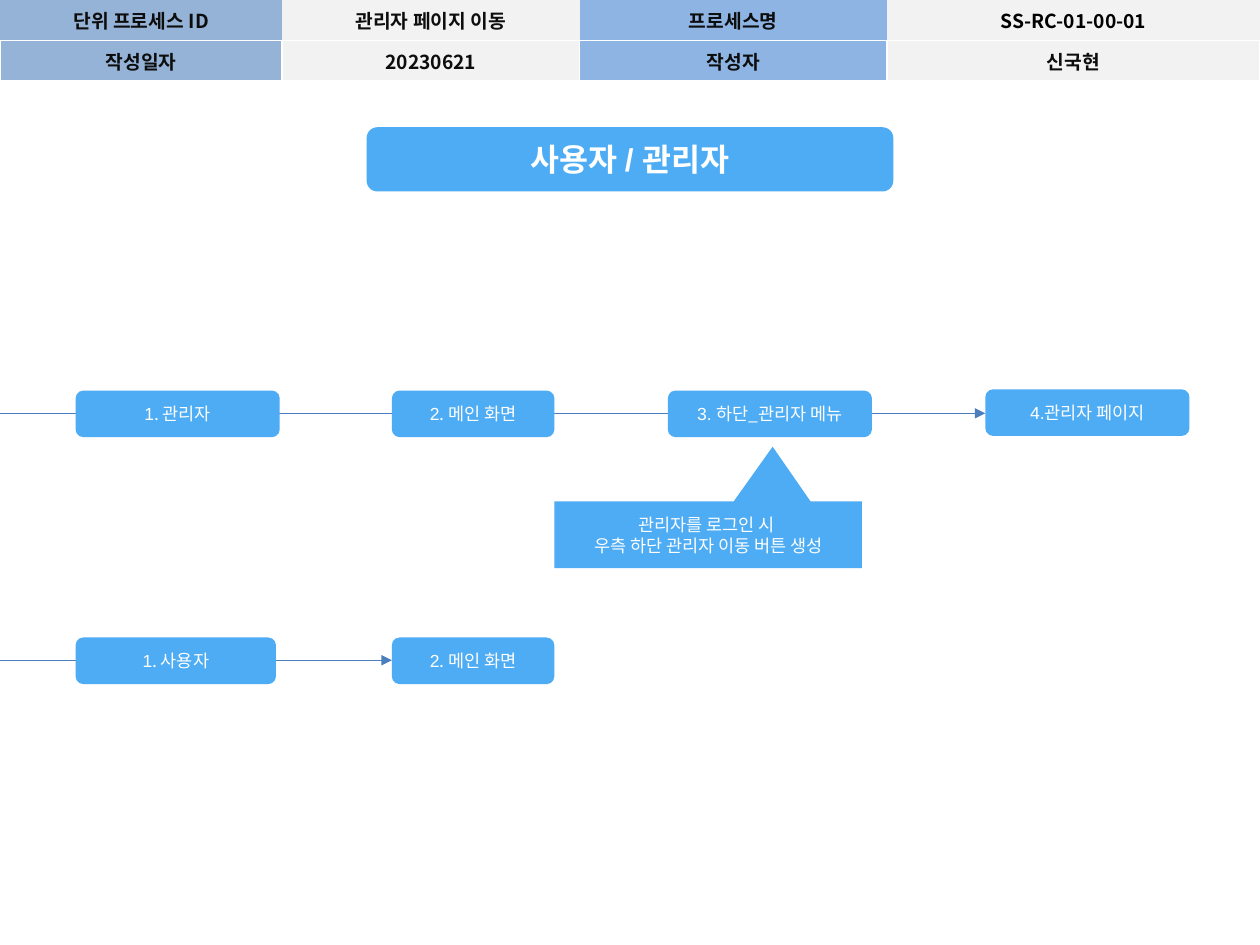
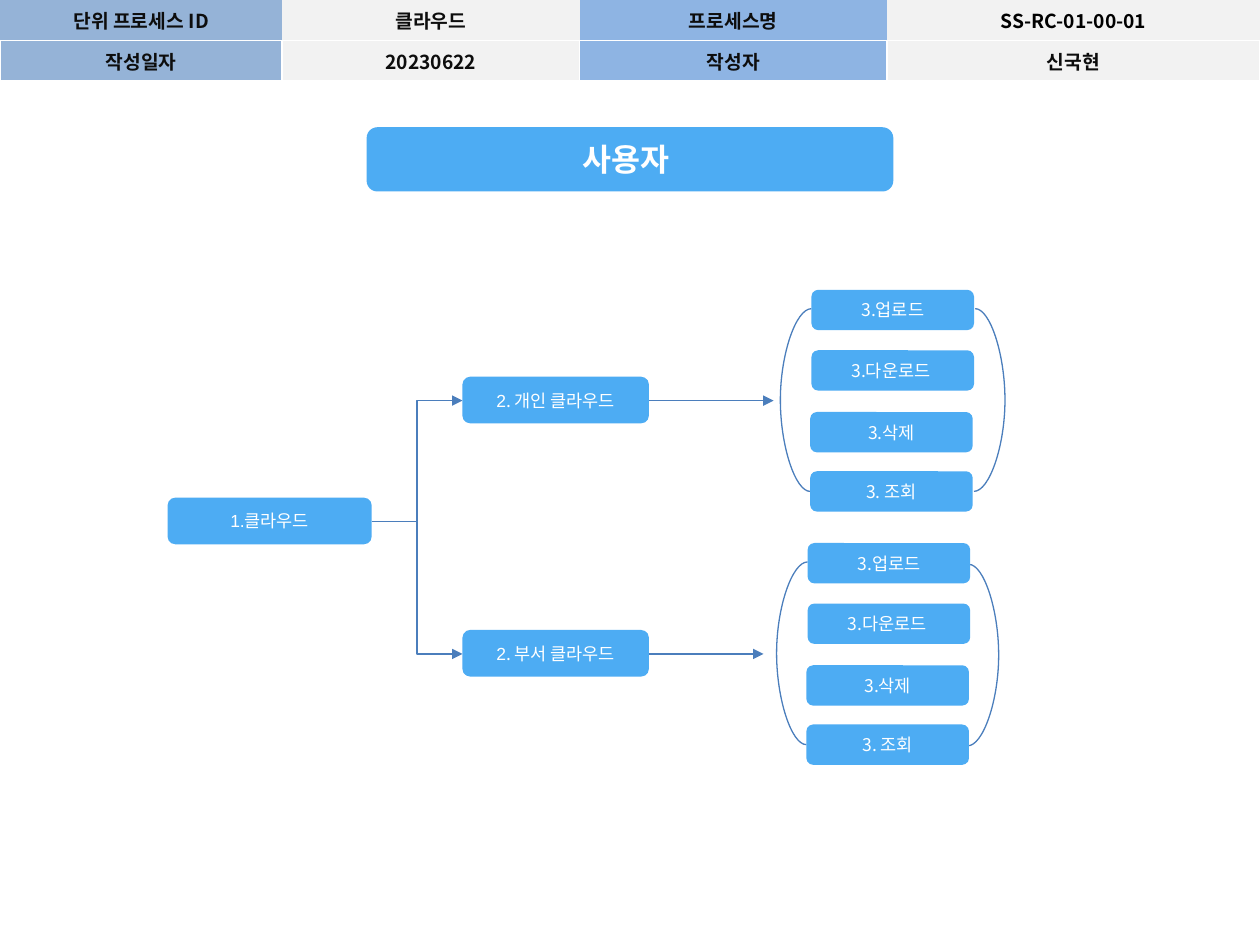
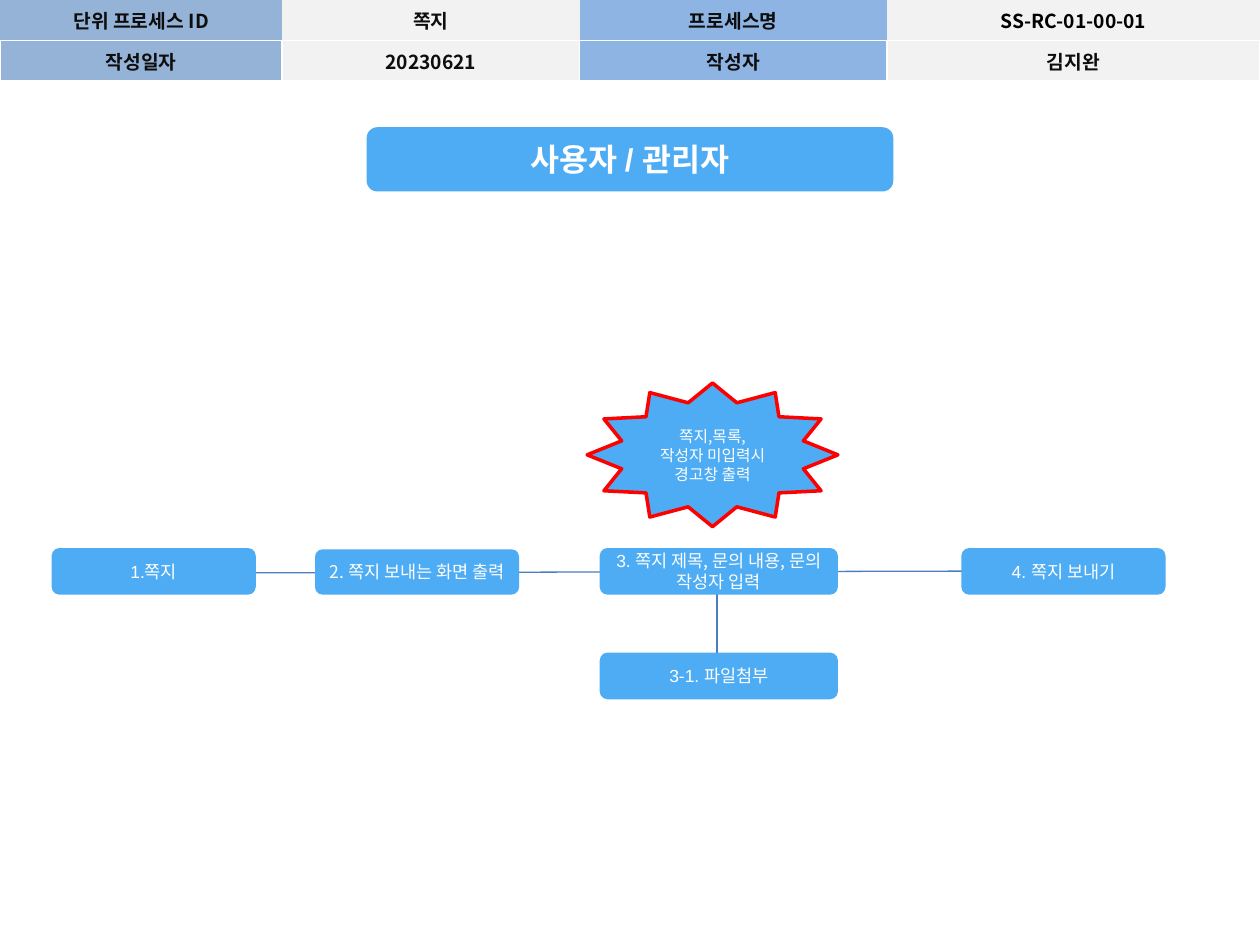
from lxml import etree
from pptx import Presentation
from pptx.dml.color import RGBColor
from pptx.enum.shapes import MSO_CONNECTOR, MSO_SHAPE
from pptx.enum.text import MSO_ANCHOR, MSO_AUTO_SIZE, PP_ALIGN
from pptx.oxml.ns import qn
from pptx.util import Inches, Pt

ROUND = MSO_SHAPE.ROUNDED_RECTANGLE
CALLOUT = MSO_SHAPE.RECTANGULAR_CALLOUT
STAR = MSO_SHAPE.STAR_12_POINT
STRAIGHT = MSO_CONNECTOR.STRAIGHT
ELBOW = MSO_CONNECTOR.ELBOW
CURVE = MSO_CONNECTOR.CURVE
CENTER = PP_ALIGN.CENTER
MIDDLE = MSO_ANCHOR.MIDDLE
NO_FIT = MSO_AUTO_SIZE.NONE

BLUE = RGBColor(0x4D, 0xAC, 0xF3)
LINE = RGBColor(0x4B, 0x7E, 0xBC)
RED = RGBColor(0xFF, 0x00, 0x00)
WHITE = RGBColor(0xFF, 0xFF, 0xFF)
BLACK = RGBColor(0x00, 0x00, 0x00)
INK = RGBColor(0x0D, 0x0D, 0x0D)
HEAD_FILLS = [RGBColor(0x95, 0xB3, 0xD7), RGBColor(0xF2, 0xF2, 0xF2),
              RGBColor(0x8E, 0xB4, 0xE3), RGBColor(0xF2, 0xF2, 0xF2)]
KOREAN = "Noto Sans CJK KR"
LATIN = "Arial"
NO_STYLE = "{2D5ABB26-0587-4C30-8999-92F81FD0307C}"


def add_text(tf, text, lead="", size=10, font=KOREAN, color=WHITE, bold=False):
    tf.word_wrap = True
    for i, line in enumerate(text.split("\n")):
        p = tf.paragraphs[0] if i == 0 else tf.add_paragraph()
        p.alignment = CENTER
        for part, face in ((lead, LATIN), (line, font)):
            if not part:
                continue
            r = p.add_run()
            r.text = part
            r.font.size = Pt(size)
            r.font.name = face
            r.font.bold = bold
            r.font.color.rgb = color
            ea = etree.SubElement(r.font._element, qn("a:ea"))
            ea.set("typeface", KOREAN)


def add_block(s, kind, x, y, w, h):
    sp = s.shapes.add_shape(kind, Inches(x), Inches(y), Inches(w), Inches(h))
    sp.shadow.inherit = False
    sp.fill.solid()
    sp.fill.fore_color.rgb = BLUE
    sp.line.fill.background()
    sp.text_frame.vertical_anchor = MIDDLE
    return sp


menus = ["3.업로드", "3.다운로드 ", "3.삭제", "3. 조회"]
menu_spots = [(6.44, 2.3), (6.44, 2.78), (6.43, 3.27), (6.43, 3.74)]
menu_nodes = [("", menu, x + dx, y + dy, 1.29, 0.32)
              for dx, dy in ((0, 0), (-0.03, 2.01))
              for menu, (x, y) in zip(menus, menu_spots)]

slides = [
    {
        "head": ("관리자 페이지 이동", "20230621", "신국현"),
        "title": "사용자 / 관리자",
        "lines": [
            (STRAIGHT, -0.34, 5.24, 3.11, 5.24),
            (STRAIGHT, -0.45, 3.28, 7.82, 3.28),
        ],
        "nodes": [
            ("1", ". 관리자", 0.6, 3.1, 1.62, 0.37),
            ("2", ". 메인 화면", 3.11, 3.1, 1.29, 0.37),
            ("3. ", "하단_관리자 메뉴", 5.3, 3.1, 1.62, 0.37),
            ("4.관리자 페이지", "", 7.82, 3.09, 1.62, 0.37),
            ("1", ". 사용자", 0.6, 5.06, 1.59, 0.37),
            ("2", ". 메인 화면", 3.11, 5.06, 1.29, 0.37),
        ],
    },
    {
        "head": ("클라우드", "20230622", "신국현"),
        "title": "사용자 ",
        "lines": [
            (STRAIGHT, 5.15, 3.18, 6.14, 3.18),
            (STRAIGHT, 5.15, 5.19, 6.06, 5.19),
            (ELBOW, 2.95, 4.14, 3.67, 3.18),
            (ELBOW, 2.95, 4.14, 3.67, 5.19),
            (CURVE, 6.44, 2.45, 6.43, 3.9),
            (CURVE, 6.41, 4.46, 6.4, 5.91),
            (CURVE, 7.73, 3.9, 7.74, 2.45),
            (CURVE, 7.68, 5.92, 7.69, 4.48),
        ],
        "nodes": [
            ("1.클라우드", "", 1.33, 3.95, 1.62, 0.37),
            ("2", ". 개인 클라우드", 3.67, 2.99, 1.48, 0.37),
            ("2", ". 부서 클라우드", 3.67, 5, 1.48, 0.37),
        ] + menu_nodes,
    },
    {
        "head": ("쪽지", "20230621", "김지완"),
        "title": "사용자 / 관리자",
        "lines": [
            (STRAIGHT, 5.69, 4.66, 5.69, 5.32),
            (STRAIGHT, 0.56, 4.55, 8.81, 4.53),
        ],
        "nodes": [
            ("1.쪽지", "", 0.41, 4.35, 1.62, 0.37),
            ("", "2. 쪽지 보내는 화면 출력", 2.5, 4.36, 1.62, 0.36),
            ("3. ", "쪽지 제목, 문의 내용, 문의 작성자 입력", 4.76, 4.35, 1.89, 0.37),
            ("4. 쪽지 보내기", "", 7.63, 4.35, 1.62, 0.37),
            ("3-1. 파일첨부", "", 4.76, 5.18, 1.89, 0.37),
        ],
    },
]

prs = Presentation()
prs.slide_width = Inches(10)
prs.slide_height = Inches(7.5)

for content in slides:
    s = prs.slides.add_slide(prs.slide_layouts[5])

    for kind, x1, y1, x2, y2 in content["lines"]:
        cx = s.shapes.add_connector(kind, Inches(x1), Inches(y1), Inches(x2), Inches(y2))
        cx.line.color.rgb = LINE
        cx.line.width = Pt(0.75)
        spPr = cx._element.spPr
        if kind == CURVE:
            geom = spPr.find(qn("a:prstGeom"))
            av = geom.find(qn("a:avLst"))
            etree.SubElement(av, qn("a:gd"), name="adj1", fmla="val 2500000")
        else:
            etree.SubElement(spPr.find(qn("a:ln")), qn("a:tailEnd"), type="triangle")
        etree.SubElement(spPr, qn("a:effectLst"))

    frame = s.shapes.add_table(2, 4, 0, 0, Inches(10), Inches(0.61))
    table = frame.table
    table.first_row = False
    table.horz_banding = False
    table._tbl.tblPr.find(qn("a:tableStyleId")).text = NO_STYLE
    for col, width in zip(table.columns, (2.24, 2.36, 2.44, 2.96)):
        col.width = Inches(width)
    for row, height in zip(table.rows, (0.3, 0.31)):
        row.height = Inches(height)
    name, date, author = content["head"]
    head_rows = [("단위 프로세스 ID", name, "프로세스명", "SS-RC-01-00-01"),
                 ("작성일자", date, "작성자", author)]
    for i, texts in enumerate(head_rows):
        for j, text in enumerate(texts):
            cell = table.cell(i, j)
            tcPr = cell._tc.get_or_add_tcPr()
            for side in ("lnB",) if i == 0 else ("lnL", "lnR", "lnT", "lnB"):
                ln = etree.SubElement(tcPr, qn("a:" + side), w=str(Pt(1)))
                fill = etree.SubElement(ln, qn("a:solidFill"))
                etree.SubElement(fill, qn("a:srgbClr"), val=str(WHITE))
            cell.fill.solid()
            cell.fill.fore_color.rgb = HEAD_FILLS[j]
            cell.vertical_anchor = MIDDLE
            add_text(cell.text_frame, text, size=11, bold=True,
                     color=BLACK if (i, j) == (0, 3) else INK)

    band = add_block(s, ROUND, 2.91, 1.01, 4.18, 0.51)
    title = s.shapes.title
    title.left, title.top = band.left, band.top
    title.width, title.height = band.width, band.height
    s.shapes._spTree.append(title._element)
    title.text_frame.vertical_anchor = MIDDLE
    title.text_frame.auto_size = NO_FIT
    add_text(title.text_frame, content["title"], size=18, font=LATIN, bold=True)

    for lead, text, x, y, w, h in content["nodes"]:
        node = add_block(s, ROUND, x, y, w, h)
        add_text(node.text_frame, text, lead=lead)

login_slide, cloud_slide, note_slide = prs.slides

callout = add_block(login_slide, CALLOUT, 4.4, 3.98, 2.44, 0.53)
callout.adjustments[0] = 0.21
callout.adjustments[1] = -1.32
add_text(callout.text_frame, "관리자를 로그인 시 \n우측 하단 관리자 이동 버튼 생성")

warning = add_block(note_slide, STAR, 4.66, 3.04, 1.99, 1.14)
warning.line.color.rgb = RED
warning.line.width = Pt(2)
add_text(warning.text_frame, "쪽지,목록,작성자 미입력시 경고창 출력", size=9)

prs.save("out.pptx")
